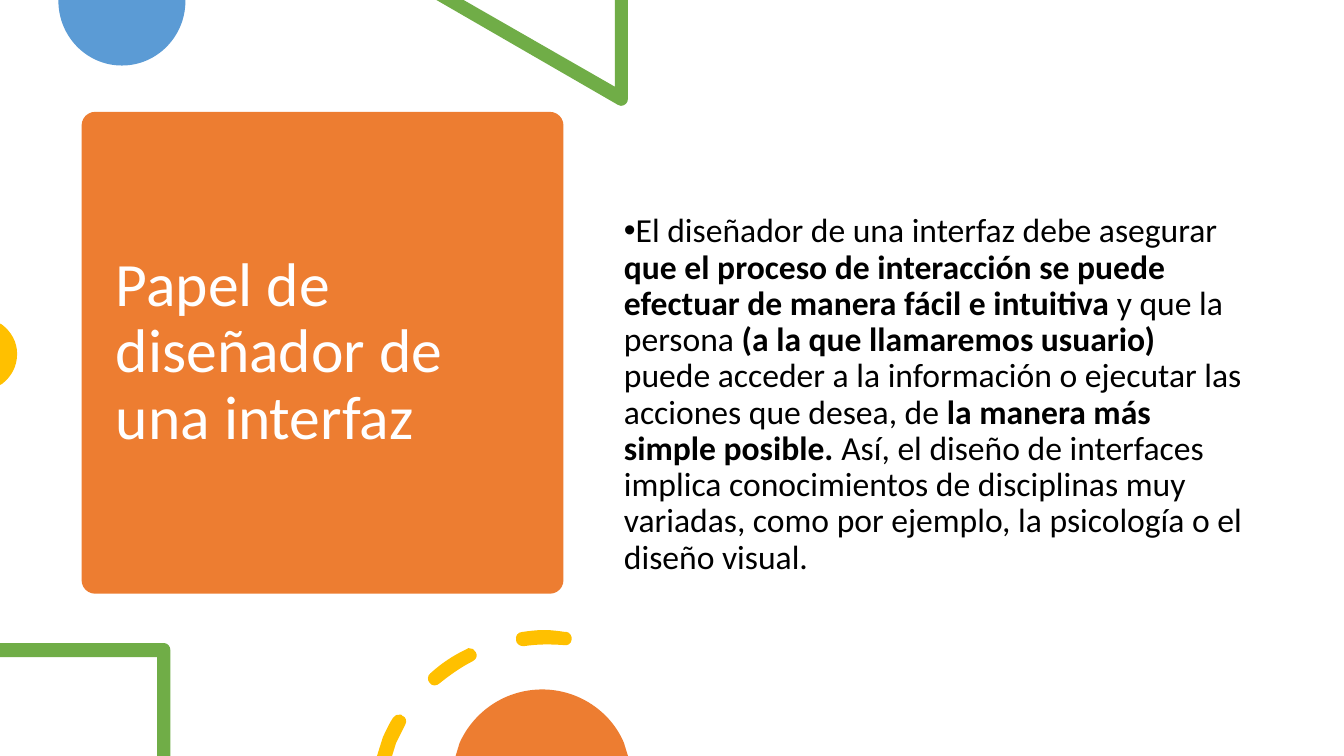
from lxml.etree import SubElement
from pptx import Presentation
from pptx.dml.color import RGBColor
from pptx.enum.shapes import MSO_SHAPE
from pptx.enum.text import MSO_ANCHOR, MSO_AUTO_SIZE, PP_ALIGN
from pptx.oxml.ns import qn
from pptx.util import Inches, Pt

ORANGE, BLUE, GREEN, YELLOW = "ED7D31", "5B9BD5", "70AD47", "FFC000"


def paint(shape, color):
    shape.fill.solid()
    shape.fill.fore_color.rgb = RGBColor.from_string(color)
    shape.line.fill.background()
    shape.shadow.inherit = False


def bend(shape, segment, curve):
    """Replace a line segment of a freeform by a Bézier curve given in inches."""
    bezier = segment.makeelement(qn("a:cubicBezTo"))
    for x, y in zip(curve[::2], curve[1::2]):
        SubElement(bezier, qn("a:pt"), x=str(Inches(x) - shape.left), y=str(Inches(y) - shape.top))
    segment.getparent().replace(segment, bezier)


deck = Presentation()
deck.slide_width, deck.slide_height = Inches(40 / 3), Inches(7.5)
page = deck.slides.add_slide(deck.slide_layouts[1])
title, body = page.placeholders

# Orange card behind the title
card = page.shapes.add_shape(MSO_SHAPE.ROUNDED_RECTANGLE, Inches(0.81), Inches(1.11),
                             Inches(4.78), Inches(4.78))
card.adjustments[0] = 0.028
paint(card, ORANGE)
title._element.addprevious(card._element)

# Title and body text
title_runs = [("Papel de diseñador de una interfaz", False)]
body_runs = [
    ("El diseñador de una interfaz debe asegurar ", False),
    ("que el proceso de interacción se puede efectuar de manera fácil e intuitiva ", True),
    ("y que la persona ", False),
    ("(a la que llamaremos usuario) ", True),
    ("puede acceder a la información o ejecutar las acciones que desea, de ", False),
    ("la manera más simple posible. ", True),
    ("Así, el diseño de interfaces implica conocimientos de disciplinas muy variadas, "
     "como por ejemplo, la psicología o el diseño visual.", False),
]
for box, place, anchor, size, color, runs in [
    (title, (1.05, 1.22, 4.31, 4.56), MSO_ANCHOR.MIDDLE, 44, "FFFFFF", title_runs),
    (body, (6.09, 2.07, 6.35, 3.74), MSO_ANCHOR.TOP, 24, "000000", body_runs),
]:
    box.left, box.top, box.width, box.height = map(Inches, place)
    frame = box.text_frame
    frame.word_wrap = True
    frame.auto_size = MSO_AUTO_SIZE.NONE
    frame.vertical_anchor = anchor
    para = frame.paragraphs[0]
    para.alignment = PP_ALIGN.LEFT
    para.line_spacing = 0.9
    para.space_before, para.space_after = Pt(0), Pt(6)
    para.font.name, para.font.size = "Calibri", Pt(size)
    para.font.color.rgb = RGBColor.from_string(color)
    for text, bold in runs:
        span = para.add_run()
        span.text = text
        span.font.bold = bold

bullet_indent = body.text_frame.paragraphs[0]._p.get_or_add_pPr()
bullet_indent.set("marL", "0")
bullet_indent.set("indent", str(-Inches(0.25)))

# Decorations cut off by the slide edges: two numbers are a corner, six a Bézier curve
blue_circle = [[(1.84, 0), (0.58, 0), (0.58, 0.01), (0.58, 0.36, 0.86, 0.65, 1.21, 0.65),
                (1.56, 0.65, 1.84, 0.36, 1.84, 0.01)]]
green_triangle = [[(6.23, 0), (6.1, 0), (6.1, 0.86), (4.6, 0), (4.33, 0), (6.13, 1.04),
                   (6.14, 1.05, 6.15, 1.05, 6.16, 1.05), (6.2, 1.05, 6.23, 1.02, 6.23, 0.98)]]
yellow_circle = [[(0, 3.21), (0, 3.82), (0.02, 3.81), (0.11, 3.74, 0.17, 3.64, 0.17, 3.51),
                  (0.17, 3.39, 0.11, 3.29, 0.02, 3.22)]]
green_corner = [[(1.63, 6.38), (0, 6.38), (0, 6.52), (1.56, 6.52), (1.56, 7.5), (1.69, 7.5),
                 (1.69, 6.45), (1.69, 6.41, 1.66, 6.38, 1.63, 6.38)]]
yellow_dashes = [
    [(3.97, 7.09), (3.94, 7.08, 3.92, 7.1, 3.9, 7.12), (3.86, 7.18, 3.83, 7.25, 3.8, 7.31),
     (3.74, 7.5), (3.89, 7.5), (3.93, 7.37), (3.96, 7.31, 3.99, 7.25, 4.02, 7.19),
     (4.04, 7.16, 4.03, 7.11, 3.99, 7.1), (3.99, 7.09, 3.98, 7.09, 3.97, 7.09)],
    [(4.65, 6.43), (4.65, 6.43, 4.64, 6.43, 4.63, 6.44), (4.5, 6.5, 4.38, 6.58, 4.27, 6.68),
     (4.24, 6.7, 4.24, 6.75, 4.26, 6.77), (4.27, 6.79, 4.29, 6.8, 4.31, 6.8), (4.31, 6.8),
     (4.33, 6.8, 4.35, 6.79, 4.36, 6.78), (4.46, 6.7, 4.57, 6.62, 4.69, 6.56),
     (4.73, 6.54, 4.74, 6.5, 4.72, 6.47), (4.71, 6.44, 4.68, 6.43, 4.65, 6.43)],
    [(5.4, 6.25), (5.32, 6.25, 5.25, 6.26, 5.18, 6.27), (5.14, 6.27, 5.11, 6.31, 5.12, 6.35),
     (5.12, 6.38, 5.15, 6.41, 5.19, 6.41), (5.19, 6.41, 5.19, 6.41, 5.2, 6.41),
     (5.33, 6.39, 5.46, 6.39, 5.6, 6.4), (5.63, 6.41, 5.67, 6.38, 5.67, 6.35),
     (5.68, 6.31, 5.65, 6.27, 5.62, 6.27), (5.62, 6.27, 5.61, 6.27, 5.61, 6.27),
     (5.54, 6.26, 5.47, 6.25, 5.4, 6.25)],
]
orange_circle = [[(5.38, 6.84), (5.01, 6.84, 4.7, 7.06, 4.56, 7.37), (4.52, 7.5), (6.23, 7.5),
                  (6.19, 7.37), (6.06, 7.06, 5.74, 6.84, 5.38, 6.84)]]

for color, contours in [(BLUE, blue_circle), (GREEN, green_triangle), (YELLOW, yellow_circle),
                        (GREEN, green_corner), (YELLOW, yellow_dashes), (ORANGE, orange_circle)]:
    corners = [[tuple(map(Inches, step[-2:])) for step in contour] for contour in contours]
    builder = page.shapes.build_freeform(*corners[0][0])
    for number, (start, *ends) in enumerate(corners):
        if number:
            builder.move_to(*start)
        builder.add_line_segments(ends, close=True)
    decoration = builder.convert_to_shape()
    paint(decoration, color)
    steps = [step for contour in contours for step in contour[1:]]
    for segment, step in zip(list(decoration._element.iter(qn("a:lnTo"))), steps):
        if len(step) == 6:
            bend(decoration, segment, step)

# Keep the body text above the first three decorations
page.shapes[5]._element.addnext(body._element)

deck.save("out.pptx")
